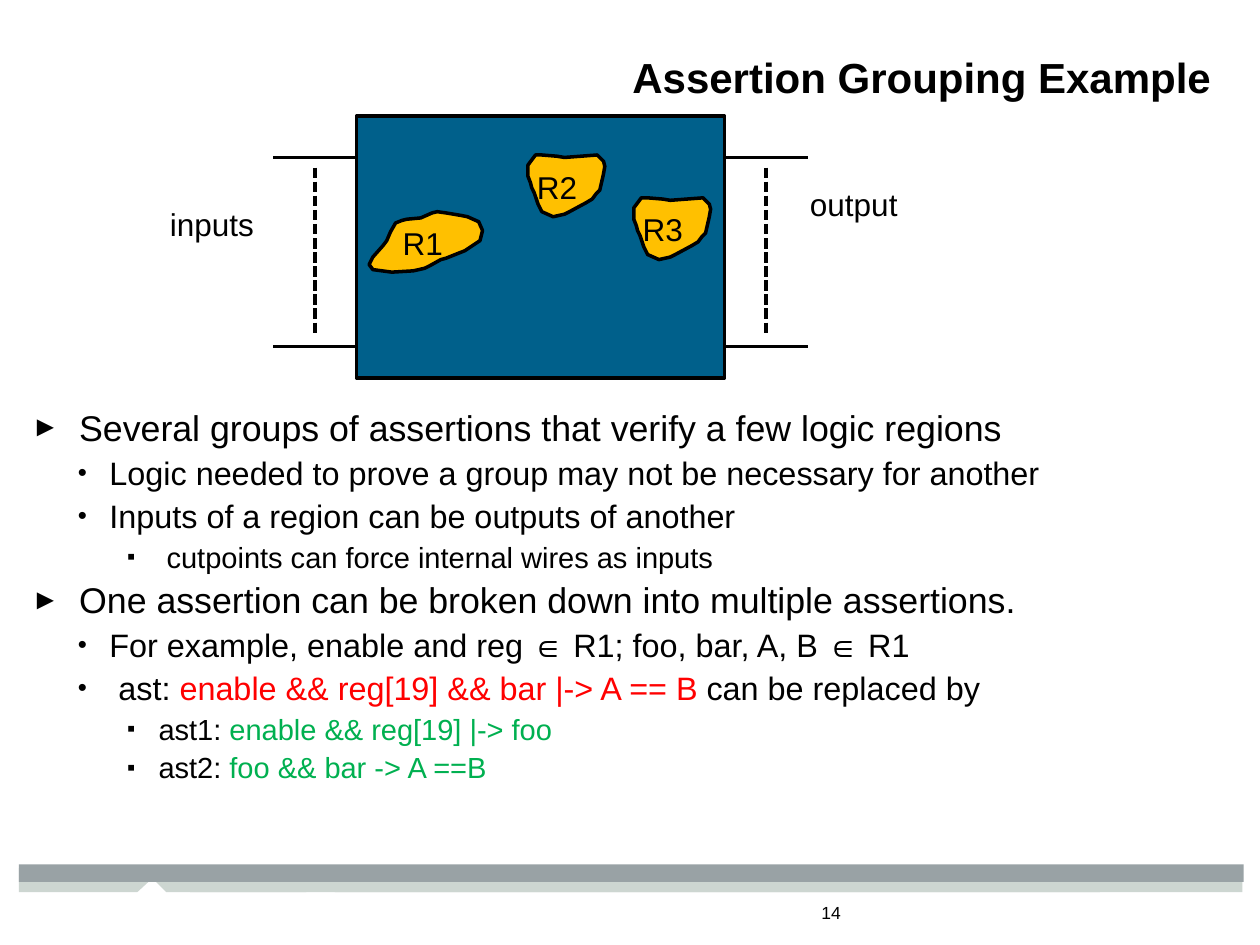
from lxml.etree import SubElement
from pptx import Presentation
from pptx.dml.color import RGBColor
from pptx.enum.dml import MSO_LINE
from pptx.enum.shapes import MSO_CONNECTOR, MSO_SHAPE
from pptx.enum.text import MSO_ANCHOR, PP_ALIGN
from pptx.oxml.ns import qn
from pptx.util import Inches, Pt

BLACK, RED, GREEN = "000000", "FF0000", "00B050"
BLUE, AMBER = "00608B", "FFC000"
BAR, BAND = "99A2A5", "CDD6D1"

R1_OUTLINE = [
    (55, 1), (59, 0), (66, 1), (78, 3), (83, 4), (92, 8), (95, 15), (93, 23),
    (81, 31), (71, 35), (66, 37), (62, 38), (53, 43), (49, 45), (40, 47),
    (23, 48), (8, 46), (5, 42), (8, 36), (16, 27), (19, 23), (22, 16),
    (26, 9), (31, 7), (35, 6), (46, 5),
]
SHIELD_OUTLINE = [
    (14, 1), (26, 2), (32, 3), (58, 1), (63, 6), (64, 10), (63, 16), (60, 29),
    (57, 32), (54, 36), (49, 39), (36, 46), (32, 48), (23, 50), (14, 46),
    (11, 40), (8, 31), (6, 27), (5, 23), (3, 18), (3, 9), (9, 1),
]
REGIONS = [
    ("R1", 0.05, 0.76, R1_OUTLINE, PP_ALIGN.CENTER),
    ("R2", 1.33, 0.3, SHIELD_OUTLINE, PP_ALIGN.LEFT),
    ("R3", 2.17, 0.64, SHIELD_OUTLINE, PP_ALIGN.LEFT),
]

LEVELS = [
    ("►", 0.38, 0.38, 20.4, 2.5),
    ("•", 0.62, 0.25, 18.5, 2.5),
    ("▪", 1.01, 0.25, 16.6, 2),
]
POINTS = [
    (0, [("Several groups of assertions that verify a few logic regions", BLACK)]),
    (1, [("Logic needed to prove a group may not be necessary for another", BLACK)]),
    (1, [("Inputs of a region can be outputs of another", BLACK)]),
    (2, [(" cutpoints can force internal wires as inputs", BLACK)]),
    (0, [("One assertion can be broken down into multiple assertions.", BLACK)]),
    (1, [("For example, enable and reg ∈ R1; foo, bar, A, B ∈ R1", BLACK)]),
    (1, [(" ast: ", BLACK), ("enable && reg[19] && bar |-> A == B ", RED),
         ("can be replaced by", BLACK)]),
    (2, [("ast1: ", BLACK), ("enable && reg[19] |-> foo", GREEN)]),
    (2, [("ast2: ", BLACK), ("foo && bar -> A ==B", GREEN)]),
]


def color(value):
    return RGBColor.from_string(value)


def paint(shape, fill, outline=None):
    shape.shadow.inherit = False
    shape.fill.solid()
    shape.fill.fore_color.rgb = color(fill)
    if outline:
        shape.line.color.rgb = color(outline)
        shape.line.width = Pt(2)
    else:
        shape.line.fill.background()


def write(frame, text, size, align=PP_ALIGN.LEFT, bold=False):
    frame.word_wrap = True
    frame.vertical_anchor = MSO_ANCHOR.TOP
    paragraph = frame.paragraphs[0]
    paragraph.text = text
    paragraph.alignment = align
    paragraph.font.name = "Arial"
    paragraph.font.size = Pt(size)
    paragraph.font.bold = bold
    paragraph.font.color.rgb = color(BLACK)
    return paragraph


def add_label(slide, text, left, top, width, height, size, **style):
    label = slide.shapes.add_textbox(
        Inches(left), Inches(top), Inches(width), Inches(height))
    return write(label.text_frame, text, size, **style)


def add_outline(slide, left, top, points):
    corners = [(Inches(left + x), Inches(top + y)) for x, y in points]
    builder = slide.shapes.build_freeform(*corners[0])
    builder.add_line_segments(corners[1:], close=True)
    return builder.convert_to_shape()


def add_wire(slide, x1, y1, x2, y2, dashed=False):
    wire = slide.shapes.add_connector(
        MSO_CONNECTOR.STRAIGHT, Inches(x1), Inches(y1), Inches(x2), Inches(y2))
    wire.line.color.rgb = color(BLACK)
    wire.line.width = Pt(2)
    if dashed:
        wire.line.dash_style = MSO_LINE.SQUARE_DOT
    SubElement(wire.element.spPr, qn("a:effectLst"))


def add_footer(slide, left, top, width, height):
    band_height = 0.19
    for start, end, notch in [(1.36, 9.71, 2.4), (0, 8.58, 1.06)]:
        bottom = band_height
        band = add_outline(slide, left, top + 0.03, [
            (end, 0), (end, bottom), (notch + 0.11, bottom), (notch, 0.08),
            (notch - 0.12, bottom), (start, bottom), (start, 0)])
        paint(band, BAND)
    bar = slide.shapes.add_shape(
        MSO_SHAPE.RECTANGLE, Inches(left), Inches(top), Inches(width), Inches(height))
    paint(bar, BAR)
    add_label(slide, "14", left + 6.27, top + 0.25, 0.75, 0.34, 10)


def add_region(slide, name, left, top, outline, align):
    points = [(x / 100, y / 100) for x, y in outline]
    region = add_outline(slide, left, top, points)
    paint(region, AMBER, BLACK)
    frame = region.text_frame
    frame.margin_left = Inches(0.1 - min(x for x, _ in points))
    frame.margin_right = Inches(0.1)
    frame.margin_top = frame.margin_bottom = Inches(0.1)
    write(frame, name, 18, align)


def add_block_diagram(slide, left, top, width, height):
    block = slide.shapes.add_shape(
        MSO_SHAPE.RECTANGLE, Inches(left), Inches(top), Inches(width), Inches(height))
    paint(block, BLUE, BLACK)
    for name, x, y, outline, align in REGIONS:
        add_region(slide, name, left + x, top + y, outline, align)
    for edge, direction in [(left, -1), (left + width, 1)]:
        for y in (top + 0.33, top + 1.83):
            add_wire(slide, edge, y, edge + direction * 0.66, y)
        middle = edge + direction * 0.33
        add_wire(slide, middle, top + 0.41, middle, top + 1.75, dashed=True)
    add_label(slide, "inputs", left - 1.58, top + 0.66, 0.9, 0.42, 18)
    add_label(slide, "output", left + width + 0.58, top + 0.5, 0.95, 0.42, 18)


def add_bullet(paragraph, symbol, indent, hanging):
    properties = paragraph._p.get_or_add_pPr()
    properties.set("marL", str(Inches(indent)))
    properties.set("indent", str(-Inches(hanging)))
    bullet_color = SubElement(properties, qn("a:buClr"))
    SubElement(bullet_color, qn("a:srgbClr"), val=BLACK)
    SubElement(properties, qn("a:buSzPct"), val="80000")
    SubElement(properties, qn("a:buFont"), typeface="Arial")
    SubElement(properties, qn("a:buChar"), char=symbol)


def add_points(slide, left, top, width, height):
    body = slide.shapes.add_textbox(
        Inches(left), Inches(top), Inches(width), Inches(height))
    frame = body.text_frame
    frame.word_wrap = True
    for index, (level, pieces) in enumerate(POINTS):
        paragraph = frame.add_paragraph() if index else frame.paragraphs[0]
        symbol, indent, hanging, size, gap = LEVELS[level]
        paragraph.level = level
        add_bullet(paragraph, symbol, indent, hanging)
        paragraph.space_after = Pt(gap)
        paragraph.font.name = "Arial"
        paragraph.font.size = Pt(size)
        for text, text_color in pieces:
            run = paragraph.add_run()
            run.text = text
            run.font.color.rgb = color(text_color)


def main():
    deck = Presentation()
    deck.slide_width, deck.slide_height = Inches(10), Inches(7.5)
    slide = deck.slides.add_slide(deck.slide_layouts[6])
    add_footer(slide, 0.15, 6.86, 9.72, 0.14)
    title = add_label(slide, "Assertion Grouping Example", 0, 0.42, 9.71, 0.72, 24,
                      align=PP_ALIGN.RIGHT, bold=True)
    title.line_spacing = 0.85
    add_block_diagram(slide, 2.83, 0.92, 2.92, 2.08)
    add_points(slide, 0.15, 3.17, 9.72, 3.17)
    deck.save("out.pptx")


if __name__ == "__main__":
    main()
